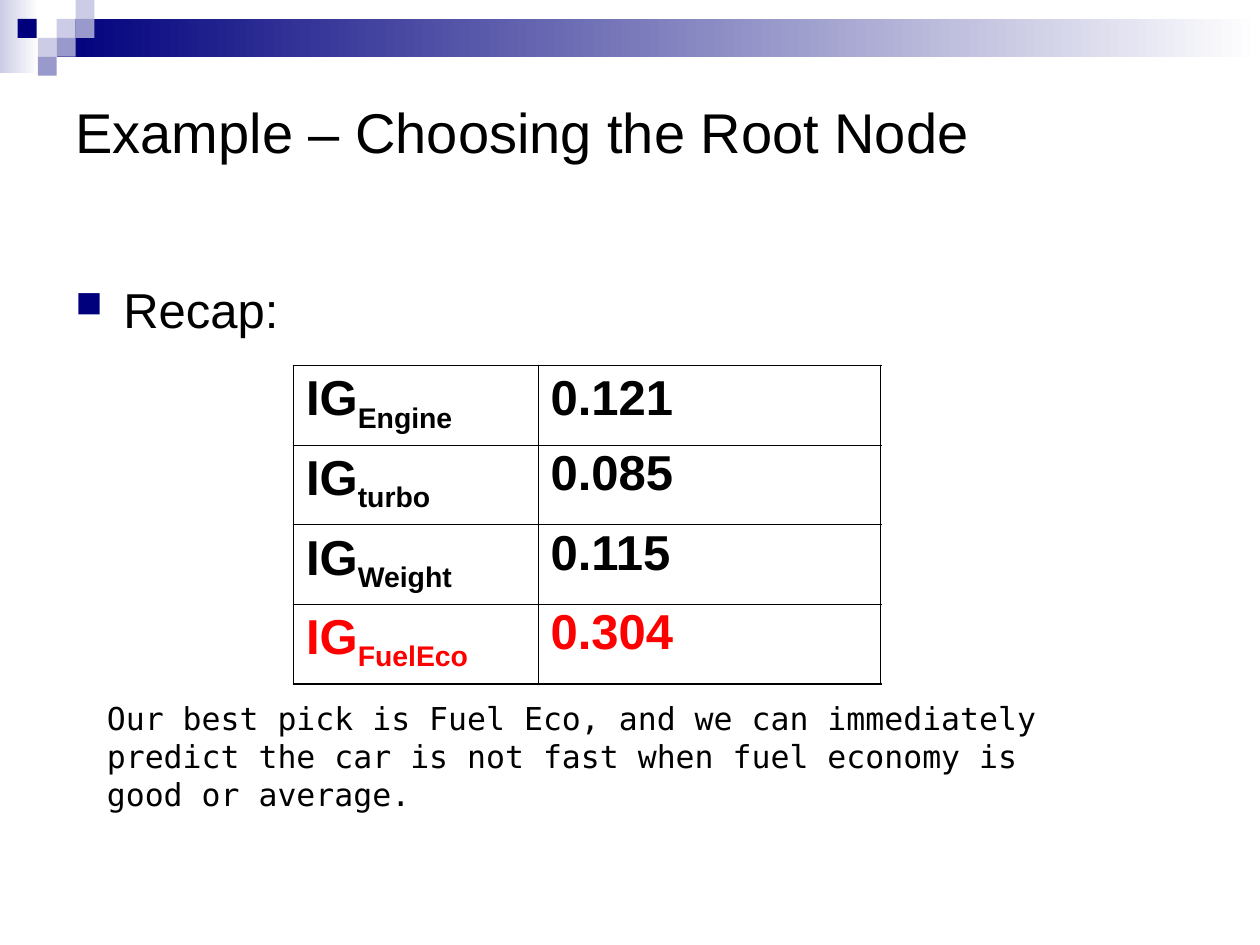
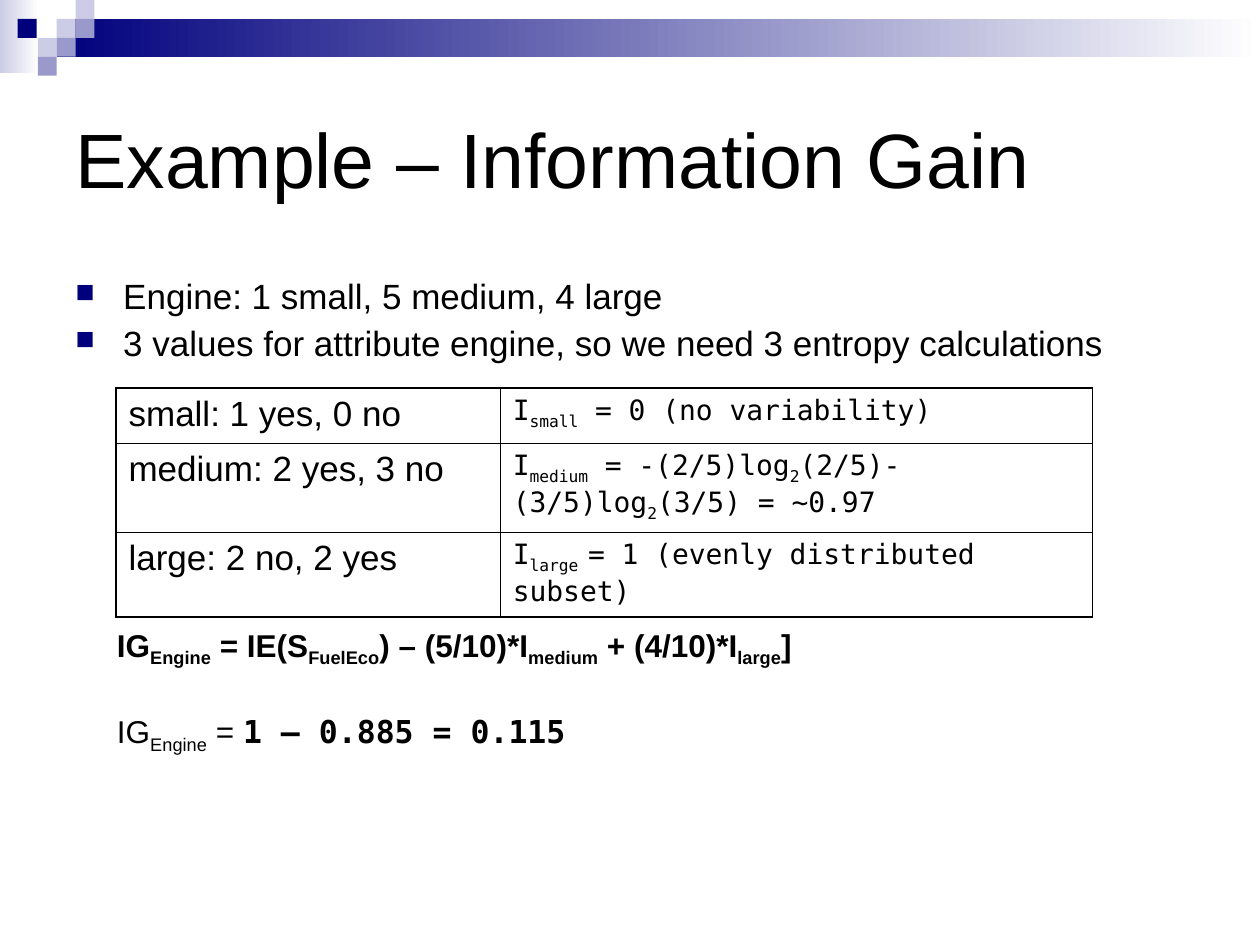
"""Build two slides on choosing a decision tree's root node by information gain."""
from dataclasses import dataclass

from lxml.etree import SubElement
from pptx import Presentation
from pptx.dml.color import RGBColor as Rgb
from pptx.enum.shapes import MSO_SHAPE as Preset
from pptx.enum.text import MSO_ANCHOR as Anchor
from pptx.oxml.ns import qn
from pptx.util import Inches, Pt


@dataclass(frozen=True)
class Theme:
    ink: str = "000000"
    alert: str = "FF0000"
    navy: str = "00007D"
    violet: str = "9999CC"
    lilac: str = "CCCCE6"
    white: str = "FFFFFF"
    sans: str = "Arial"
    mono: str = "DejaVu Sans Mono"
    big_title: int = 44
    title: int = 32
    large: int = 28
    body: int = 20
    note: int = 18
    formula: int = 16
    outer_line: float = 1.08
    inner_line: float = 0.45


theme = Theme()


def write(para, text, size, font=theme.sans, color=theme.ink, bold=False,
          before=0, spacing=1.0, bullet=False):
    """Add text to a paragraph; parts between bars become subscripts."""
    para.space_before = Pt(before)
    para.line_spacing = spacing
    for index, part in enumerate(text.split("|")):
        span = para.add_run()
        span.text = part
        span.font.size = Pt(size)
        span.font.name = font
        span.font.bold = bold
        span.font.color.rgb = Rgb.from_string(color)
        if index % 2:
            span._r.get_or_add_rPr().set("baseline", "-25000")
    if bullet:
        props = para._p.get_or_add_pPr()
        props.set("marL", str(Inches(0.38)))
        props.set("indent", str(-Inches(0.38)))
        tint = SubElement(props, qn("a:buClr"))
        SubElement(tint, qn("a:srgbClr"), val=theme.navy)
        SubElement(props, qn("a:buSzPct"), val="75000")
        SubElement(props, qn("a:buChar"), char="■")


def add_grid(page, left, top, widths, row_height, rows):
    """Add a table with a heavy outline and thin inner rules."""
    last_row, last_col = len(rows) - 1, len(widths) - 1
    table = page.shapes.add_table(
        len(rows), len(widths), Inches(left), Inches(top),
        Inches(sum(widths)), Inches(row_height * len(rows))).table
    table.first_row = table.horz_banding = False
    for column, width in zip(table.columns, widths):
        column.width = Inches(width)
    for r, row in enumerate(rows):
        table.rows[r].height = Inches(row_height)
        for c, (text, style) in enumerate(row):
            cell = table.cell(r, c)
            write(cell.text_frame.paragraphs[0], text, **style)
            props = cell._tc.get_or_add_tcPr()
            edges = {"L": c == 0, "R": c == last_col, "T": r == 0, "B": r == last_row}
            for side, outer in edges.items():
                weight = theme.outer_line if outer else theme.inner_line
                line = SubElement(props, qn(f"a:ln{side}"), w=str(Pt(weight)))
                fill = SubElement(line, qn("a:solidFill"))
                SubElement(fill, qn("a:srgbClr"), val=theme.ink)
            cell.fill.background()


bands = [(0, 0, 0.31, 0.58, theme.lilac), (0.45, 0.15, 9.55, 0.3, theme.navy)]
tile_size = 0.15
tiles = [
    (0.45, 0.15, theme.lilac), (0.6, 0, theme.lilac), (0.6, 0.15, theme.violet),
    (0.3, 0.3, theme.lilac), (0.14, 0.15, theme.navy), (0.45, 0.3, theme.violet),
    (0.3, 0.45, theme.violet),
]

point = dict(size=theme.body, before=5, spacing=0.9, bullet=True)
gain = dict(size=theme.note, before=4.5, spacing=0.9)
slides = [
    [
        ((0.5, 0.5, 9, 1.08), Anchor.MIDDLE,
         [[("Example – Choosing the Root Node", dict(size=theme.title))]]),
        ((0.5, 2.17, 4.42, 4.25), Anchor.TOP,
         [[("Recap:", dict(size=theme.large, before=7, bullet=True))]]),
        ((0.75, 5.5, 7.6, 0.7), Anchor.TOP,
         [[("Our best pick is Fuel Eco, and we can immediately predict the car "
            "is not fast when fuel economy is good or average.",
            dict(size=theme.note, font=theme.mono))]]),
    ],
    [
        ((0.5, 0.5, 9, 1.5), Anchor.MIDDLE,
         [[("Example – Information Gain", dict(size=theme.big_title))]]),
        ((0.5, 2.17, 9, 1.17), Anchor.TOP,
         [[("Engine: 1 small, 5 medium, 4 large", point)],
          [("3 values for attribute engine, so we need 3 entropy calculations", point)]]),
        ((0.83, 4.92, 8.42, 1.11), Anchor.TOP,
         [[("IG|Engine| = IE(S|FuelEco|) – (5/10)*I|medium| + (4/10)*I|large|]",
            gain | dict(bold=True))],
          [("IG|Engine| = ", gain),
           ("1 – 0.885 = 0.115", gain | dict(font=theme.mono, bold=True, before=27.5))]]),
    ],
]

deck = Presentation()
deck.slide_width, deck.slide_height = Inches(10), Inches(7.5)
pages = []
for boxes in slides:
    page = deck.slides.add_slide(deck.slide_layouts[6])
    pages.append(page)
    for *bounds, color in bands:
        band = page.shapes.add_shape(Preset.RECTANGLE, *map(Inches, bounds))
        band.shadow.inherit = False
        band.line.fill.background()
        band.fill.gradient()
        band.fill.gradient_angle = 180
        for stop, shade in zip(band.fill.gradient_stops, (theme.white, color)):
            stop.color.rgb = Rgb.from_string(shade)
    for left, top, color in tiles:
        tile = page.shapes.add_shape(
            Preset.RECTANGLE, *map(Inches, (left, top, tile_size, tile_size)))
        tile.shadow.inherit = False
        tile.line.fill.background()
        tile.fill.solid()
        tile.fill.fore_color.rgb = Rgb.from_string(color)
    for bounds, anchor, paras in boxes:
        box = page.shapes.add_textbox(*map(Inches, bounds))
        frame = box.text_frame
        frame.word_wrap = True
        frame.vertical_anchor = anchor
        for index, spans in enumerate(paras):
            para = frame.add_paragraph() if index else frame.paragraphs[0]
            for text, style in spans:
                write(para, text, **style)

recap_page, gain_page = pages

gains = [("Engine", "0.121"), ("turbo", "0.085"), ("Weight", "0.115"), ("FuelEco", "0.304")]
gain_rows = []
for index, (attribute, value) in enumerate(gains):
    color = theme.alert if attribute == "FuelEco" else theme.ink
    style = dict(size=theme.large, bold=True, before=7, color=color)
    spacing = 0.9 if index else 1.0
    gain_rows.append([(f"IG|{attribute}|", style), (value, style | dict(spacing=spacing))])
add_grid(recap_page, 2.33, 2.9, (1.94, 2.72), 0.63, gain_rows)

entropies = [
    ("small: 1 yes, 0 no", "I|small| = 0 (no variability)"),
    ("medium: 2 yes, 3 no", "I|medium| = -(2/5)log|2|(2/5)-(3/5)log|2|(3/5) = ~0.97"),
    ("large: 2 no, 2 yes", "I|large |= 1 (evenly distributed subset)"),
]
count_style = dict(size=theme.body, before=5)
formula_style = dict(size=theme.formula, font=theme.mono, before=4)
entropy_rows = [[(count, count_style), (formula, formula_style)] for count, formula in entropies]
add_grid(gain_page, 0.92, 3.08, (3.05, 4.7), 0.44, entropy_rows)

deck.save("out.pptx")
